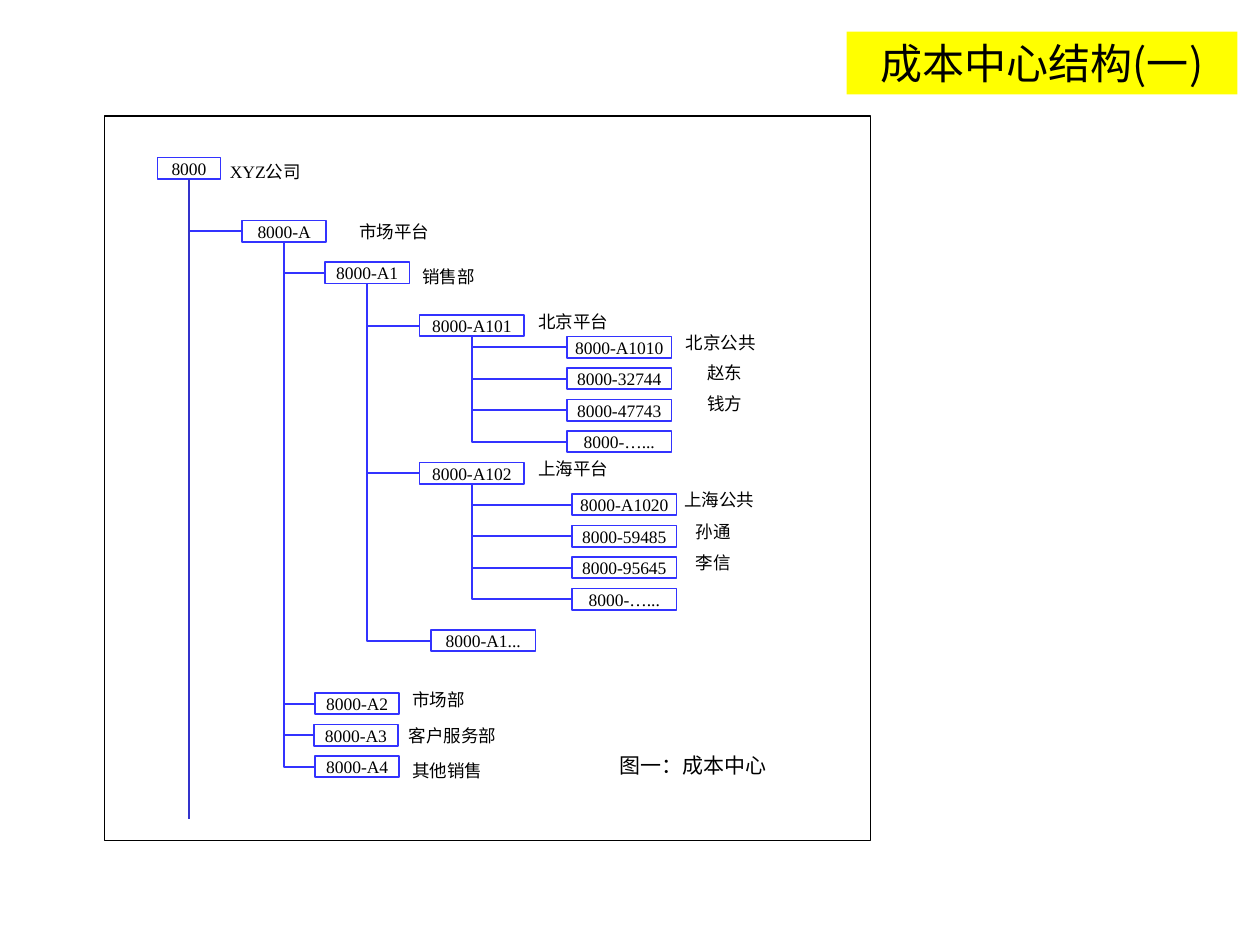
from dataclasses import dataclass, field
from typing import List, Optional

from lxml import etree
from pptx import Presentation
from pptx.dml.color import RGBColor
from pptx.enum import shapes as sh, text as tx
from pptx.oxml.ns import qn
from pptx.util import Inches, Pt

BLACK = RGBColor(0x00, 0x00, 0x00)
WHITE = RGBColor(0xFF, 0xFF, 0xFF)
YELLOW = RGBColor(0xFF, 0xFF, 0x00)
BOX_BLUE = RGBColor(0x33, 0x33, 0xFF)
TRUNK_BLUE = RGBColor(0x33, 0x33, 0xCC)

BODY_FONT = "Times New Roman"
TITLE_FONT = "Noto Sans CJK SC"
BOX_HEIGHT = 0.17
LABEL_HEIGHT = 0.27
BOTTOM_SITE, LEFT_SITE = 2, 1


@dataclass
class Label:
    text: str
    left: float
    top: float
    width: float = 0.76


@dataclass
class CostCenter:
    code: str
    left: float
    top: float
    width: float
    label: Optional[Label] = None
    children: List["CostCenter"] = field(default_factory=list)


def staff(left: float, first_top: float, codes: List[str],
          labels: List[Optional[Label]]) -> List[CostCenter]:
    """Lowest-level cost centers, stacked a quarter inch apart."""
    return [CostCenter(code, left, first_top + 0.25 * row, 0.83, label)
            for row, (code, label) in enumerate(zip(codes, labels))]


BEIJING = CostCenter(
    "8000-A101", 3.33, 2.5, 0.83, Label("北京平台", 4.17, 2.42),
    staff(4.5, 2.67, ["8000-A1010", "8000-32744", "8000-47743", "8000-…..."],
          [Label("北京公共", 5.34, 2.58), Label("赵东", 5.51, 2.82, 0.48),
           Label("钱方", 5.51, 3.07, 0.48), None]))
SHANGHAI = CostCenter(
    "8000-A102", 3.33, 3.67, 0.83, Label("上海平台", 4.17, 3.58),
    staff(4.54, 3.92, ["8000-A1020", "8000-59485", "8000-95645", "8000-…..."],
          [Label("上海公共", 5.33, 3.83), Label("孙通", 5.42, 4.08, 0.48),
           Label("李信", 5.42, 4.33, 0.48), None]))
SALES = CostCenter(
    "8000-A1", 2.58, 2.08, 0.67, Label("销售部", 3.25, 2.06, 0.62),
    [BEIJING, SHANGHAI, CostCenter("8000-A1...", 3.42, 5, 0.83)])
MARKET = CostCenter(
    "8000-A", 1.92, 1.75, 0.67, Label("市场平台", 2.75, 1.7),
    [SALES,
     CostCenter("8000-A2", 2.5, 5.5, 0.67, Label("市场部", 3.17, 5.42, 0.62)),
     CostCenter("8000-A3", 2.49, 5.75, 0.67, Label("客户服务部", 3.14, 5.7, 0.9)),
     CostCenter("8000-A4", 2.5, 6, 0.67, Label("其他销售", 3.17, 5.98))])
COMPANY = CostCenter("8000", 1.25, 1.25, 0.5,
                     Label("XYZ公司", 1.7, 1.23, 0.81), [MARKET])


def write(shape, text: str, size: float = 10, font: str = BODY_FONT,
          wrap: bool = False, anchor=tx.MSO_ANCHOR.MIDDLE,
          fit=tx.MSO_AUTO_SIZE.NONE) -> None:
    frame = shape.text_frame
    frame.word_wrap = wrap
    frame.auto_size = fit
    frame.vertical_anchor = anchor
    frame.margin_left = frame.margin_right = Inches(0.1)
    frame.margin_top = frame.margin_bottom = Inches(0.05)
    paragraph = frame.paragraphs[0]
    paragraph.alignment = tx.PP_ALIGN.CENTER
    paragraph.space_before = Pt(0)
    run = paragraph.add_run()
    run.text = text
    run.font.size = Pt(size)
    run.font.name = font
    run.font.color.rgb = BLACK


def add_box(slide, left: float, top: float, width: float, height: float,
            line: RGBColor):
    box = slide.shapes.add_shape(sh.MSO_SHAPE.RECTANGLE, Inches(left),
                                 Inches(top), Inches(width), Inches(height))
    box.shadow.inherit = False
    box.fill.background()
    box.line.color.rgb = line
    box.line.width = Pt(1)
    return box


def add_label(slide, label: Label) -> None:
    box = slide.shapes.add_textbox(Inches(label.left), Inches(label.top),
                                   Inches(label.width), Inches(LABEL_HEIGHT))
    write(box, label.text, fit=tx.MSO_AUTO_SIZE.SHAPE_TO_FIT_TEXT)


def style_connector(connector, color: RGBColor, width: float) -> None:
    connector.line.color.rgb = color
    connector.line.width = Pt(width)
    etree.SubElement(connector._element.spPr, qn("a:effectLst"))


def link(slide, parent, child) -> None:
    """Elbow that drops from the parent's bottom, then runs to the child's left."""
    elbow = slide.shapes.add_connector(sh.MSO_CONNECTOR.ELBOW, 0, 0, 0, 0)
    elbow.begin_connect(parent, BOTTOM_SITE)
    elbow.end_connect(child, LEFT_SITE)
    start_x = parent.left + parent.width // 2
    start_y = parent.top + parent.height
    run = child.left - start_x
    drop = child.top + child.height // 2 - start_y
    # The preset runs across then down, so it is mirrored and turned 270 degrees.
    elbow.left = start_x + (run - drop) // 2
    elbow.top = start_y + (drop - run) // 2
    elbow.width, elbow.height = drop, run
    properties = elbow._element.spPr
    properties.find(qn("a:prstGeom")).set("prst", "bentConnector2")
    transform = properties.find(qn("a:xfrm"))
    transform.attrib.pop("flipV", None)
    transform.set("rot", "16200000")
    transform.set("flipH", "1")
    style_connector(elbow, BOX_BLUE, 1)


def draw_center(slide, center: CostCenter):
    """Draw a cost center with everything below it."""
    box = add_box(slide, center.left, center.top, center.width, BOX_HEIGHT, BOX_BLUE)
    write(box, center.code)
    if center.label:
        add_label(slide, center.label)
    for child in center.children:
        link(slide, box, draw_center(slide, child))
    return box


def main() -> None:
    deck = Presentation()
    deck.slide_width, deck.slide_height = Inches(10), Inches(7.5)
    slide = deck.slides.add_slide(deck.slide_layouts[5])

    title = slide.shapes.title
    title.left, title.top = Inches(6.72), Inches(0.25)
    title.width, title.height = Inches(3.1), Inches(0.5)
    title.fill.solid()
    title.fill.fore_color.rgb = YELLOW
    write(title, "成本中心结构(一)", size=24, font=TITLE_FONT)

    frame = add_box(slide, 0.83, 0.92, 6.08, 5.75, BLACK)
    frame.fill.solid()
    frame.fill.fore_color.rgb = WHITE

    draw_center(slide, COMPANY)
    trunk = slide.shapes.add_connector(sh.MSO_CONNECTOR.STRAIGHT, Inches(1.5),
                                       Inches(1.42), Inches(1.5), Inches(6.5))
    style_connector(trunk, TRUNK_BLUE, 1.5)

    caption = slide.shapes.add_textbox(Inches(4.75), Inches(5.92),
                                       Inches(1.5), Inches(0.3))
    write(caption, "图一：成本中心", size=12, wrap=True, anchor=tx.MSO_ANCHOR.TOP)

    deck.save("out.pptx")


if __name__ == "__main__":
    main()
